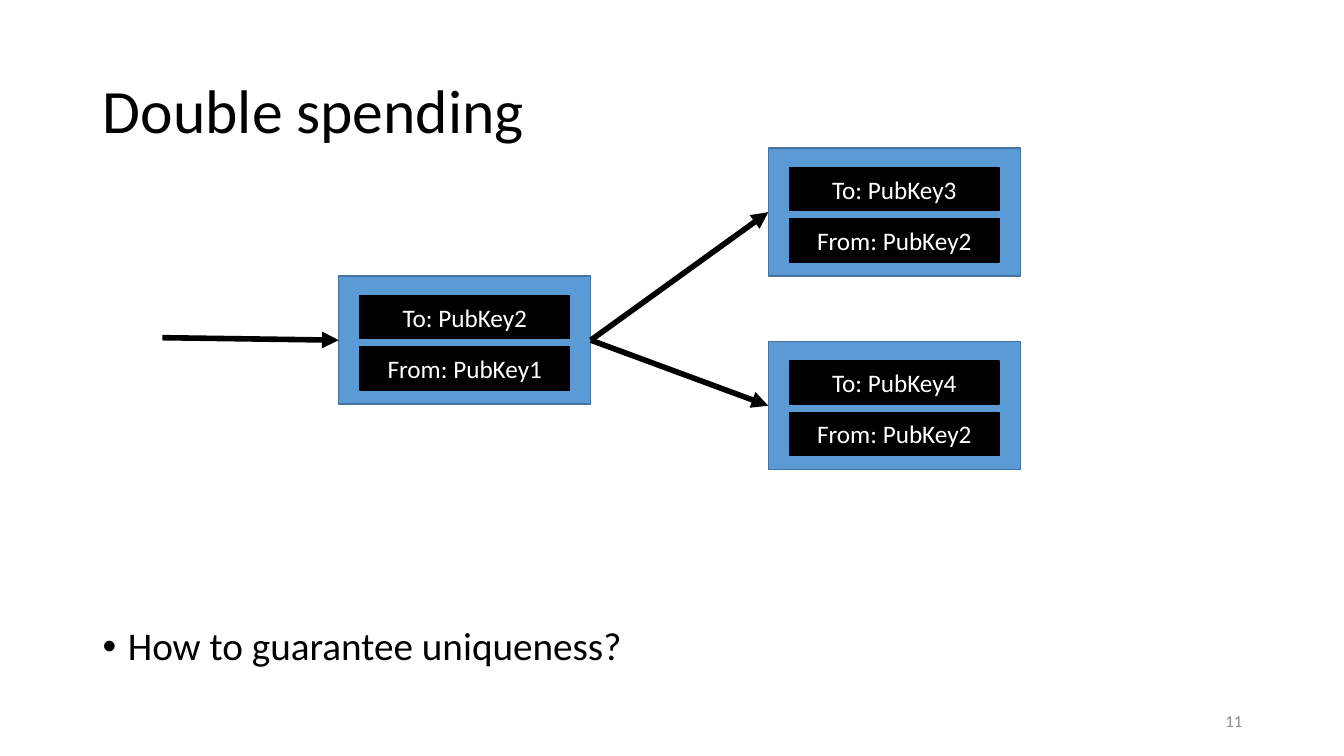
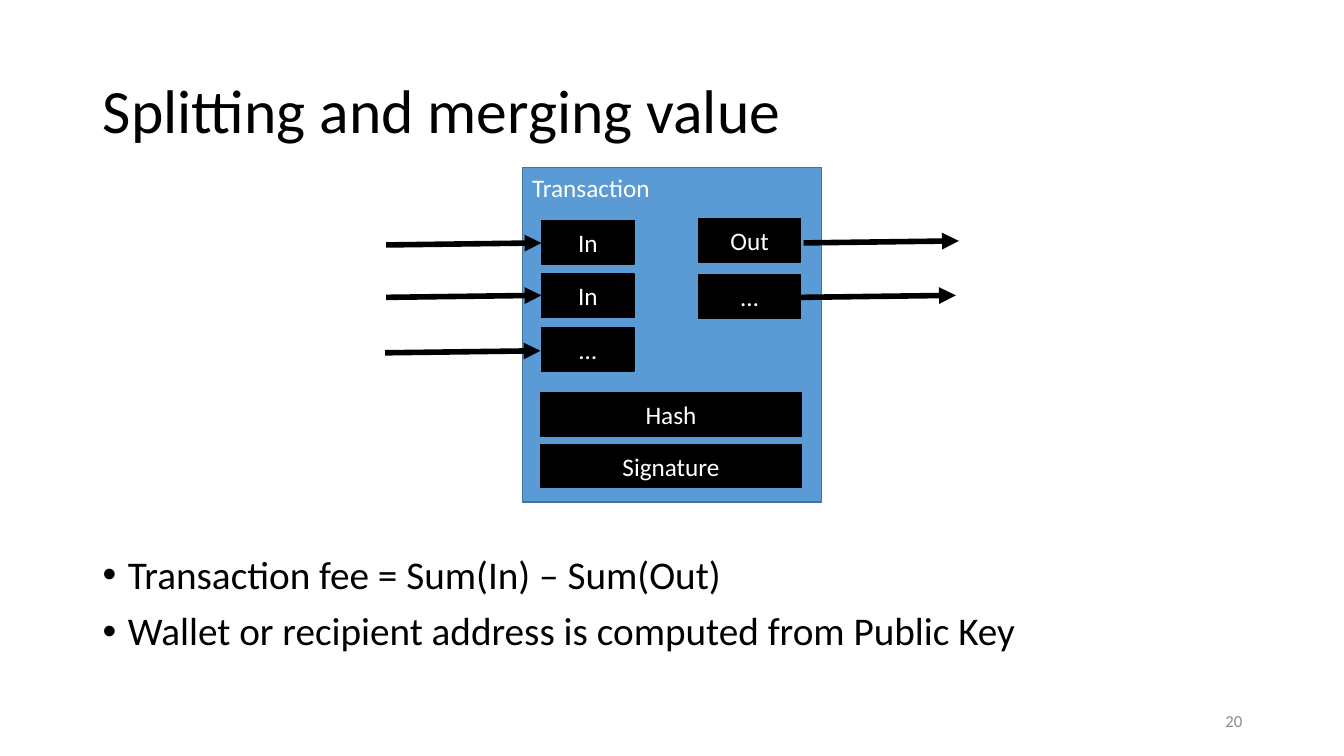
from dataclasses import dataclass

import lxml.etree
import pptx
import pptx.dml.color
import pptx.enum.shapes
import pptx.enum.text
import pptx.oxml.ns
import pptx.util
from pptx.util import Inches

ALIGN = pptx.enum.text.PP_ALIGN
ANCHOR = pptx.enum.text.MSO_ANCHOR
FONT = "Calibri"
COLOURS = {
    "ink": "000000",
    "paper": "FFFFFF",
    "card": "5B9BD5",
    "card_line": "43739E",
    "number": "8C8C8C",
}
MARGIN, CONTENT_WIDTH = 0.92, 11.5
LABEL_HEIGHT = 0.43
KEY_CARD_WIDTH, KEY_CARD_HEIGHT = 2.5, 1.27


@dataclass(frozen=True)
class Label:
    text: str
    left: float
    top: float
    width: float


@dataclass(frozen=True)
class KeyCard:
    """A transaction with its receiving and sending keys."""
    left: float
    top: float
    receiver: str
    sender: str

    @property
    def entry(self) -> tuple[float, float]:
        return self.left, self.top + KEY_CARD_HEIGHT / 2

    @property
    def exit(self) -> tuple[float, float]:
        return self.left + KEY_CARD_WIDTH, self.top + KEY_CARD_HEIGHT / 2


def colour(name: str):
    return pptx.dml.color.RGBColor.from_string(COLOURS[name])


def add_xml(parent, tag: str, **attributes: str) -> None:
    lxml.etree.SubElement(parent, pptx.oxml.ns.qn(tag), attributes)


def write(para, text: str, size: float, ink: str, align=ALIGN.LEFT) -> None:
    para.alignment = align
    span = para.add_run()
    span.text = text
    span.font.name = FONT
    span.font.size = pptx.util.Pt(size)
    span.font.color.rgb = colour(ink)


def add_text_box(page, left: float, top: float, width: float, height: float):
    box = page.shapes.add_textbox(Inches(left), Inches(top), Inches(width), Inches(height))
    box.text_frame.word_wrap = True
    return box.text_frame


def add_page(deck, title: str, number: str):
    """Add a page with its title and page number."""
    page = deck.slides.add_slide(deck.slide_layouts[5])
    heading = page.shapes.title
    heading.left, heading.top = Inches(MARGIN), Inches(0.4)
    heading.width, heading.height = Inches(CONTENT_WIDTH), Inches(1.45)
    heading.text_frame.vertical_anchor = ANCHOR.MIDDLE
    para = heading.text_frame.paragraphs[0]
    para.line_spacing = 0.9
    write(para, title, 44, "ink")

    frame = add_text_box(page, 9.42, 6.95, 3, 0.4)
    frame.vertical_anchor = ANCHOR.MIDDLE
    write(frame.paragraphs[0], number, 12, "number", ALIGN.RIGHT)
    return page


def add_bullets(page, top: float, height: float, lines: list[str]) -> None:
    frame = add_text_box(page, MARGIN, top, CONTENT_WIDTH, height)
    for index, line in enumerate(lines):
        para = frame.add_paragraph() if index else frame.paragraphs[0]
        para.line_spacing = 0.9
        para.space_before = pptx.util.Pt(10)
        write(para, line, 28, "ink")
        properties = para._p.get_or_add_pPr()
        properties.set("marL", str(Inches(0.25)))
        properties.set("indent", str(Inches(-0.25)))
        add_xml(properties, "a:buFont", typeface="Arial")
        add_xml(properties, "a:buChar", char="•")


def add_box(page, left: float, top: float, width: float, height: float, fill: str, line: str):
    box = page.shapes.add_shape(
        pptx.enum.shapes.MSO_SHAPE.RECTANGLE,
        Inches(left), Inches(top), Inches(width), Inches(height),
    )
    box.shadow.inherit = False
    box.fill.solid()
    box.fill.fore_color.rgb = colour(fill)
    box.line.color.rgb = colour(line)
    box.line.width = pptx.util.Pt(1)
    return box


def add_label(page, label: Label) -> None:
    box = add_box(page, label.left, label.top, label.width, LABEL_HEIGHT, "ink", "ink")
    box.text_frame.vertical_anchor = ANCHOR.MIDDLE
    write(box.text_frame.paragraphs[0], label.text, 18, "paper", ALIGN.CENTER)


def add_key_card(page, card: KeyCard) -> None:
    add_box(page, card.left, card.top, KEY_CARD_WIDTH, KEY_CARD_HEIGHT, "card", "card_line")
    for row, text in enumerate((f"To: {card.receiver}", f"From: {card.sender}")):
        add_label(page, Label(text, card.left + 0.21, card.top + 0.19 + 0.51 * row, 2.08))


def add_arrow(page, start: tuple[float, float], end: tuple[float, float]) -> None:
    arrow = page.shapes.add_connector(
        pptx.enum.shapes.MSO_CONNECTOR.STRAIGHT,
        *(Inches(length) for length in (*start, *end)),
    )
    arrow.line.color.rgb = colour("ink")
    arrow.line.width = pptx.util.Pt(4)
    add_xml(arrow.line._get_or_add_ln(), "a:tailEnd", type="triangle")
    add_xml(arrow._element.spPr, "a:effectLst")


def build_double_spending(deck) -> None:
    page = add_page(deck, "Double spending", "11")
    add_bullets(page, 6.17, 0.59, ["How to guarantee uniqueness?"])
    source = KeyCard(3.36, 2.74, "PubKey2", "PubKey1")
    spends = [
        KeyCard(7.62, 1.47, "PubKey3", "PubKey2"),
        KeyCard(7.62, 3.39, "PubKey4", "PubKey2"),
    ]
    for card in (source, *spends):
        add_key_card(page, card)
    add_arrow(page, (1.61, 3.35), source.entry)
    for card in spends:
        add_arrow(page, source.exit, card.entry)


def build_splitting(deck) -> None:
    page = add_page(deck, "Splitting and merging value", "20")
    add_bullets(page, 5.46, 1.29, [
        "Transaction fee = Sum(In) – Sum(Out)",
        "Wallet or recipient address is computed from Public Key",
    ])
    transaction = add_box(page, 5.18, 1.66, 2.97, 3.32, "card", "card_line")
    transaction.text_frame.vertical_anchor = ANCHOR.TOP
    write(transaction.text_frame.paragraphs[0], "Transaction", 18, "paper")

    inputs = [Label(text, 5.37, 2.19 + 0.53 * row, 0.92)
              for row, text in enumerate(("In", "In", "…"))]
    outputs = [Label(text, 6.93, 2.17 + 0.56 * row, 1.01)
               for row, text in enumerate(("Out", "…"))]
    summary = [Label(text, 5.36, 3.9 + 0.51 * row, 2.59)
               for row, text in enumerate(("Hash", "Signature"))]
    for label in inputs + outputs + summary:
        add_label(page, label)

    arrow_width, arrow_rise = 1.54, 0.02
    arrow_starts = [(3.83, 2.43), (3.83, 2.95), (3.82, 3.5), (7.97, 2.41), (7.94, 2.95)]
    for left, top in arrow_starts:
        add_arrow(page, (left, top), (left + arrow_width, top - arrow_rise))


def main() -> None:
    deck = pptx.Presentation()
    deck.slide_width, deck.slide_height = Inches(13.33), Inches(7.5)
    build_double_spending(deck)
    build_splitting(deck)
    deck.save("out.pptx")


if __name__ == "__main__":
    main()
